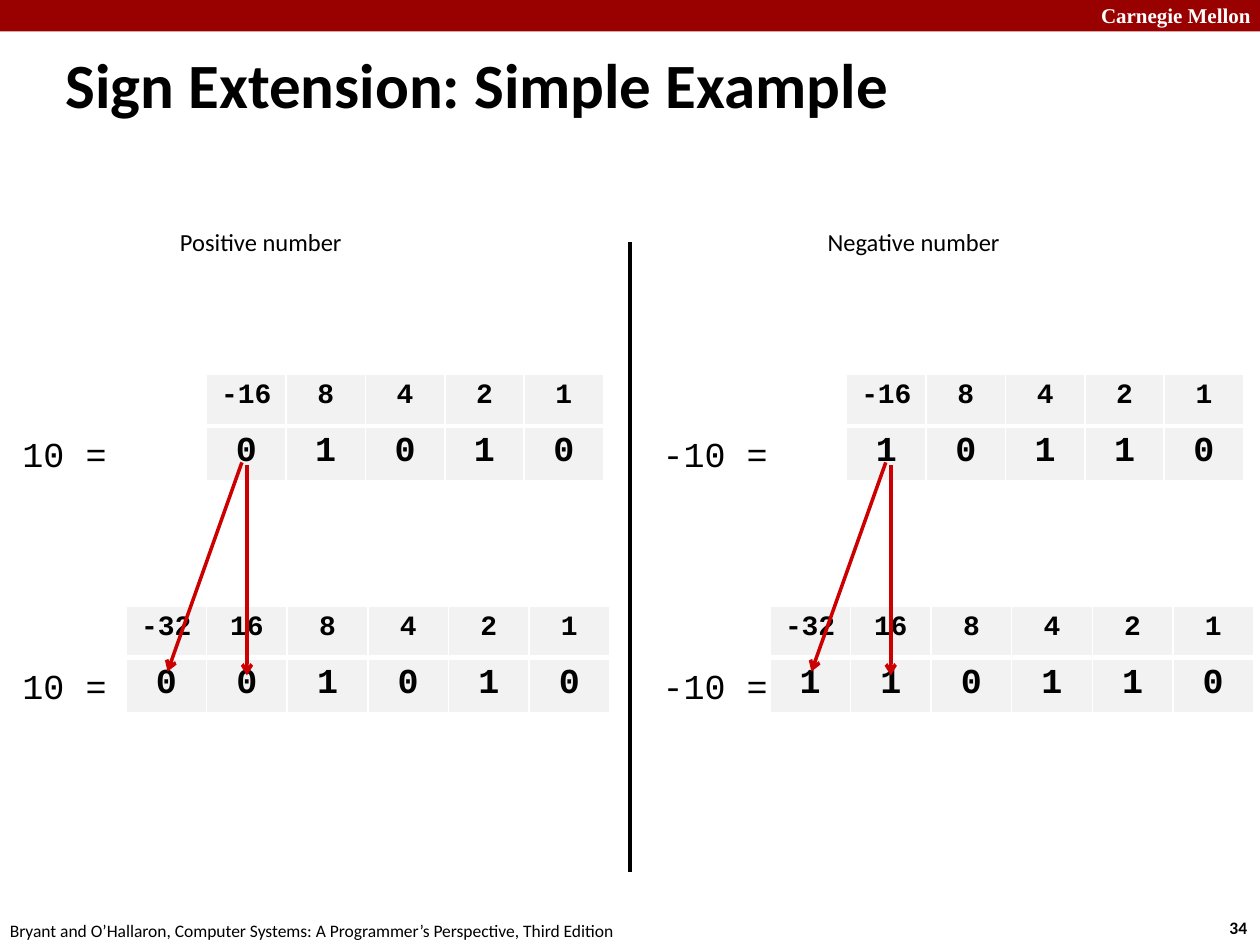
import pptx
import pptx.util
import pptx.dml.color
import pptx.enum.shapes
import pptx.enum.text
import pptx.oxml
import pptx.oxml.ns
import lxml.etree

COLORS = {"black": "000000", "white": "FFFFFF", "banner": "990000",
          "cell": "F2F2F2", "arrow": "CC0000"}
RGB = {name: pptx.dml.color.RGBColor.from_string(code) for name, code in COLORS.items()}
ALIGN = pptx.enum.text.PP_ALIGN
ANCHOR = pptx.enum.text.MSO_ANCHOR

deck = pptx.Presentation()
deck.slide_width = pptx.util.Inches(10)
deck.slide_height = pptx.util.Inches(7.5)
page = deck.slides.add_slide(deck.slide_layouts[5])
shapes = page.shapes


def grid(*lengths):
    """Turn lengths on a grid of 10 columns by 7.5 rows into slide units."""
    return [round(length * deck.slide_width / 10) for length in lengths]


def write(frame, text, size=14, font="Calibri", color="black", bold=False,
          align=ALIGN.LEFT):
    frame.word_wrap = True
    para = frame.paragraphs[0]
    para.alignment = align
    span = para.add_run()
    span.text = text
    span.font.size = pptx.util.Pt(size)
    span.font.name = font
    span.font.bold = bold
    span.font.color.rgb = RGB[color]


# Banner, title and footer
banner = shapes.add_shape(pptx.enum.shapes.MSO_SHAPE.RECTANGLE, *grid(0, 0, 10, 0.25))
banner.shadow.inherit = False
banner.fill.solid()
banner.fill.fore_color.rgb = RGB["banner"]
banner.line.fill.background()

title = shapes.title
title.left, title.top, title.width, title.height = grid(0.42, 0.35, 9.58, 0.63)
title.text_frame.vertical_anchor = ANCHOR.MIDDLE
write(title.text_frame, "Sign Extension: Simple Example", size=36, bold=True)

texts = [
    ((8.64, -0.03, 1.43, 0.3), "Carnegie Mellon",
     dict(size=12, font="Times New Roman", color="white", bold=True)),
    ((9.66, 7.23, 0.37, 0.27), "34", dict(size=10, bold=True)),
    ((-0.02, 7.25, 5.08, 0.27),
     "Bryant and O’Hallaron, Computer Systems: A Programmer’s Perspective, Third Edition",
     dict(size=10)),
]

# Each half: heading, number, its five bits, and the left edges of its parts
halves = [
    dict(heading="Positive number", number="10 =", bits="01010",
         heading_left=1.33, number_left=0.08, narrow_left=1.64, wide_left=1.0),
    dict(heading="Negative number", number="-10 =", bits="10110",
         heading_left=6.47, number_left=5.16, narrow_left=6.72, wide_left=6.11),
]
tables = []
lines = [((5, 1.92, 5, 6.92), "black", False)]
for half in halves:
    texts.append(((half["heading_left"], 1.75, 2.6, 0.5), half["heading"], {}))
    bits, wide_left = half["bits"], half["wide_left"]
    for left, top, column_width, row_bits in (
            (half["narrow_left"], 2.97, 0.63, bits),
            (wide_left, 4.81, 0.64, bits[0] + bits)):
        texts.append(((half["number_left"], top + 0.415, 1.21, 0.44), half["number"],
                      dict(size=20, font="Courier New")))
        tables.append((left, top, column_width, row_bits))
    # The sign bit is copied into the two leading places of the wide table
    lines.append(((wide_left + 0.96, 3.69, wide_left + 0.96, 5.36), "arrow", True))
    lines.append(((wide_left + 0.92, 3.67, wide_left + 0.33, 5.33), "arrow", True))

for place, text, style in texts:
    write(shapes.add_textbox(*grid(*place)).text_frame, text, **style)

# Place values above bits; the leading weight is negative
ROW_HEIGHT = 0.41
for left, top, column_width, bits in tables:
    count = len(bits)
    weights = [str(2 ** power) for power in reversed(range(count))]
    weights[0] = f"-{2 ** (count - 1)}"
    table = shapes.add_table(
        2, count, *grid(left, top, count * column_width, 2 * ROW_HEIGHT)).table
    for column in table.columns:
        column.width = grid(column_width)[0]
    for row_index, (values, size) in enumerate(((weights, 16), (bits, 20))):
        table.rows[row_index].height = grid(ROW_HEIGHT)[0]
        for column_index, value in enumerate(values):
            cell = table.cell(row_index, column_index)
            for side in "LRTB":
                points = 3 if (side, row_index) == ("B", 0) else 1
                border = lxml.etree.SubElement(
                    cell._tc.get_or_add_tcPr(), pptx.oxml.ns.qn(f"a:ln{side}"),
                    w=str(pptx.util.Pt(points)))
                fill = lxml.etree.SubElement(border, pptx.oxml.ns.qn("a:solidFill"))
                lxml.etree.SubElement(
                    fill, pptx.oxml.ns.qn("a:srgbClr"), val=COLORS["white"])
            cell.fill.solid()
            cell.fill.fore_color.rgb = RGB["cell"]
            write(cell.text_frame, value, size=size, font="Courier New", bold=True,
                  align=ALIGN.CENTER)

# Divider and sign-bit arrows
for ends, color, has_head in lines:
    line = shapes.add_connector(pptx.enum.shapes.MSO_CONNECTOR.STRAIGHT, *grid(*ends))
    line.line.color.rgb = RGB[color]
    line.line.width = pptx.util.Pt(2)
    if has_head:
        lxml.etree.SubElement(
            line.line._get_or_add_ln(), pptx.oxml.ns.qn("a:tailEnd"), type="arrow")
    lxml.etree.SubElement(line._element.spPr, pptx.oxml.ns.qn("a:effectLst"))

deck.save("out.pptx")
